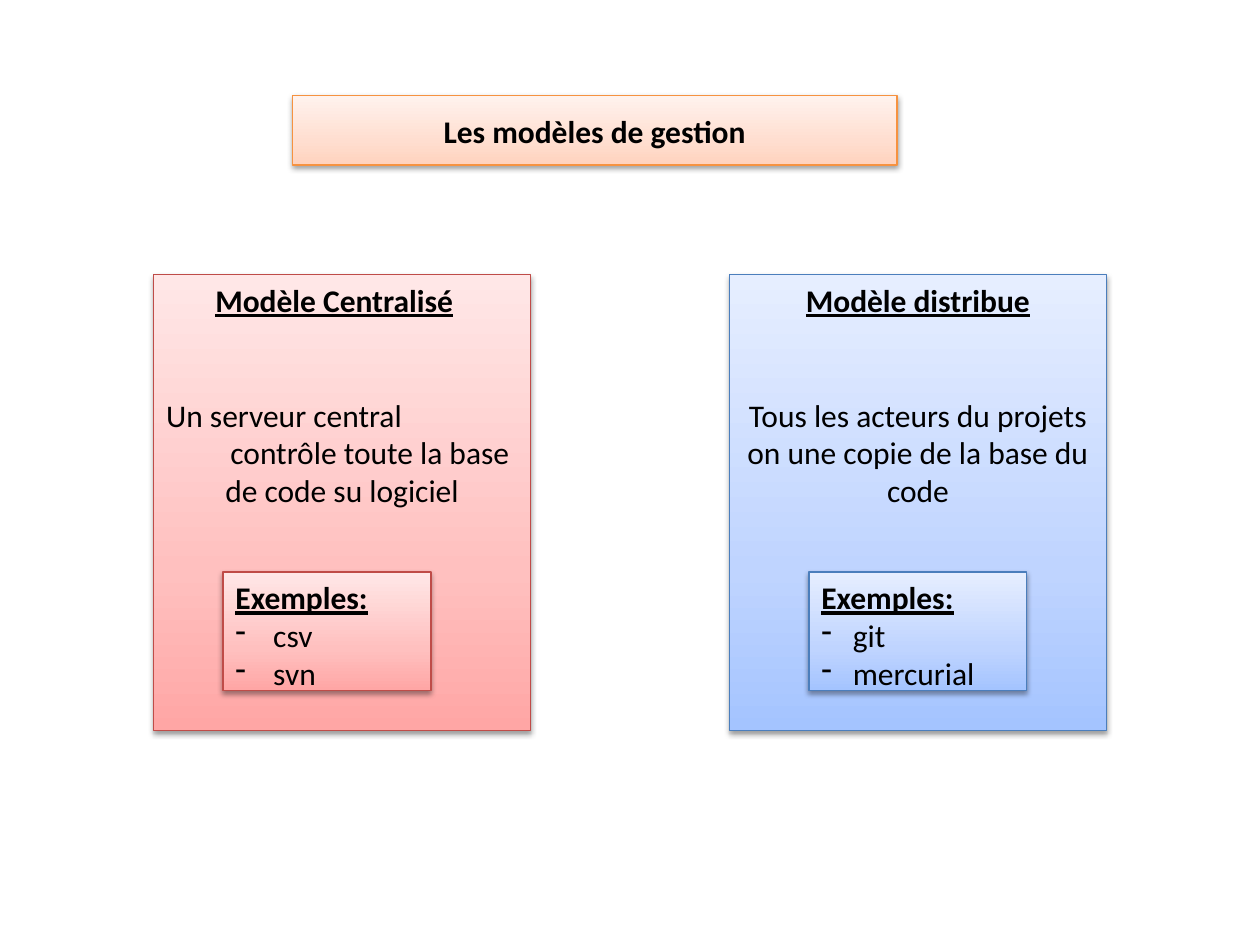
import pptx
import pptx.dml.color
import pptx.enum.shapes
import pptx.enum.text
import pptx.oxml.ns
import pptx.util
from lxml import etree

Inches, Pt = pptx.util.Inches, pptx.util.Pt
ALIGN = pptx.enum.text.PP_ALIGN
ANCHOR = pptx.enum.text.MSO_ANCHOR
qn = pptx.oxml.ns.qn

# Content: each line is (text, style, left indent in inches)
TITLE = [("Les modèles de gestion", "title", 0)]
CENTRAL = [
    ("Modèle Centralisé", "label", 0.39),
    ("Un serveur central", "opening", 0),
    ("contrôle toute la base", "left", 0.51),
    ("de code su logiciel", "center", 0),
]
DISTRIBUTED = [
    ("Modèle distribue", "heading", 0),
    ("Tous les acteurs du projets on une copie de la base du code", "body", 0),
]
CENTRAL_EXAMPLES = [("Exemples:", "label", 0), ("csv", "bullet", 0.3), ("svn", "bullet", 0.3)]
DISTRIBUTED_EXAMPLES = [("Exemples:", "label", 0), ("git", "bullet", 0.25),
                        ("mercurial", "bullet", 0.25)]

# Style: (paragraph format, font format)
GAP = Pt(44)
BOLD, UNDERLINED = {"bold": True}, {"bold": True, "underline": True}
STYLES = {
    "title": ({"alignment": ALIGN.CENTER}, BOLD),
    "heading": ({"alignment": ALIGN.CENTER}, UNDERLINED),
    "label": ({"alignment": ALIGN.LEFT}, UNDERLINED),
    "opening": ({"alignment": ALIGN.LEFT, "space_before": GAP}, {}),
    "body": ({"alignment": ALIGN.CENTER, "space_before": GAP}, {}),
    "left": ({"alignment": ALIGN.LEFT}, {}),
    "center": ({"alignment": ALIGN.CENTER}, {}),
    "bullet": ({"alignment": ALIGN.LEFT}, {}),
}

# Palette: gradient from bottom to top, then outline
STOPS = (0, 35, 100)
ORANGE = (("FFD2BD", "FFDED0", "FFF2ED"), "F69240")
RED = (("FFA6A5", "FFC0BF", "FFE7E7"), "BF4C48")
BLUE = (("A4C4FF", "BFD4FF", "E6EEFF"), "4B7EBC")

PANEL_TOP, PANEL_W, PANEL_H = 2.18, 2.99, 3.62
EXAMPLE_TOP, EXAMPLE_H = 4.54, 0.94
BOXES = [
    ((2.32, 0.76, 4.8, 0.55), ORANGE, ANCHOR.MIDDLE, TITLE),
    ((1.22, PANEL_TOP, PANEL_W, PANEL_H), RED, ANCHOR.TOP, CENTRAL),
    ((5.79, PANEL_TOP, PANEL_W, PANEL_H), BLUE, ANCHOR.TOP, DISTRIBUTED),
    ((1.77, EXAMPLE_TOP, 1.65, EXAMPLE_H), RED, ANCHOR.TOP, CENTRAL_EXAMPLES),
    ((6.42, EXAMPLE_TOP, 1.73, EXAMPLE_H), BLUE, ANCHOR.TOP, DISTRIBUTED_EXAMPLES),
]


def rgb(value):
    return pptx.dml.color.RGBColor.from_string(value)


def add_xml(parent, tag, **attributes):
    child = etree.SubElement(parent, qn(tag))
    for name, value in attributes.items():
        child.set(name, str(value))
    return child


def set_format(target, values):
    for name, value in values.items():
        setattr(target, name, value)


def paint(sp, palette):
    colors, outline = palette
    sp.fill.gradient()
    sp.fill.gradient_angle = 90
    stops = sp._element.spPr.find(".//" + qn("a:gsLst"))
    for stop in list(stops):
        stops.remove(stop)
    for position, color in zip(STOPS, colors):
        stop = add_xml(stops, "a:gs", pos=position * 1000)
        add_xml(stop, "a:srgbClr", val=color)
    sp.line.color.rgb = rgb(outline)
    sp.line.width = Pt(0.75)
    # Soft shadow straight below
    sp.shadow.inherit = False
    effects = sp._element.spPr.find(qn("a:effectLst"))
    shadow = add_xml(effects, "a:outerShdw", blurRad=Pt(3.1), dist=Pt(1.6),
                     dir=90 * 60000, rotWithShape=0)
    add_xml(add_xml(shadow, "a:srgbClr", val="000000"), "a:alpha", val=38000)


def write(tf, lines):
    for i, (text, style, indent) in enumerate(lines):
        p = tf.paragraphs[0] if i == 0 else tf.add_paragraph()
        paragraph_format, font_format = STYLES[style]
        set_format(p, paragraph_format)
        pPr = p._p.get_or_add_pPr()
        pPr.set("marL", str(Inches(indent)))
        if style == "bullet":
            pPr.set("indent", str(-Inches(indent)))
            add_xml(pPr, "a:buChar", char="-")
        r = p.add_run()
        r.text = text
        set_format(r.font, {"name": "Calibri", "size": Pt(18), **font_format})
        r.font.color.rgb = rgb("000000")


prs = pptx.Presentation()
prs.slide_width, prs.slide_height = Inches(10), Inches(7.5)
s = prs.slides.add_slide(prs.slide_layouts[6])

for place, palette, anchor, lines in BOXES:
    sp = s.shapes.add_shape(pptx.enum.shapes.MSO_SHAPE.RECTANGLE, *map(Inches, place))
    paint(sp, palette)
    tf = sp.text_frame
    set_format(tf, {"word_wrap": True, "vertical_anchor": anchor})
    write(tf, lines)

prs.save("out.pptx")
